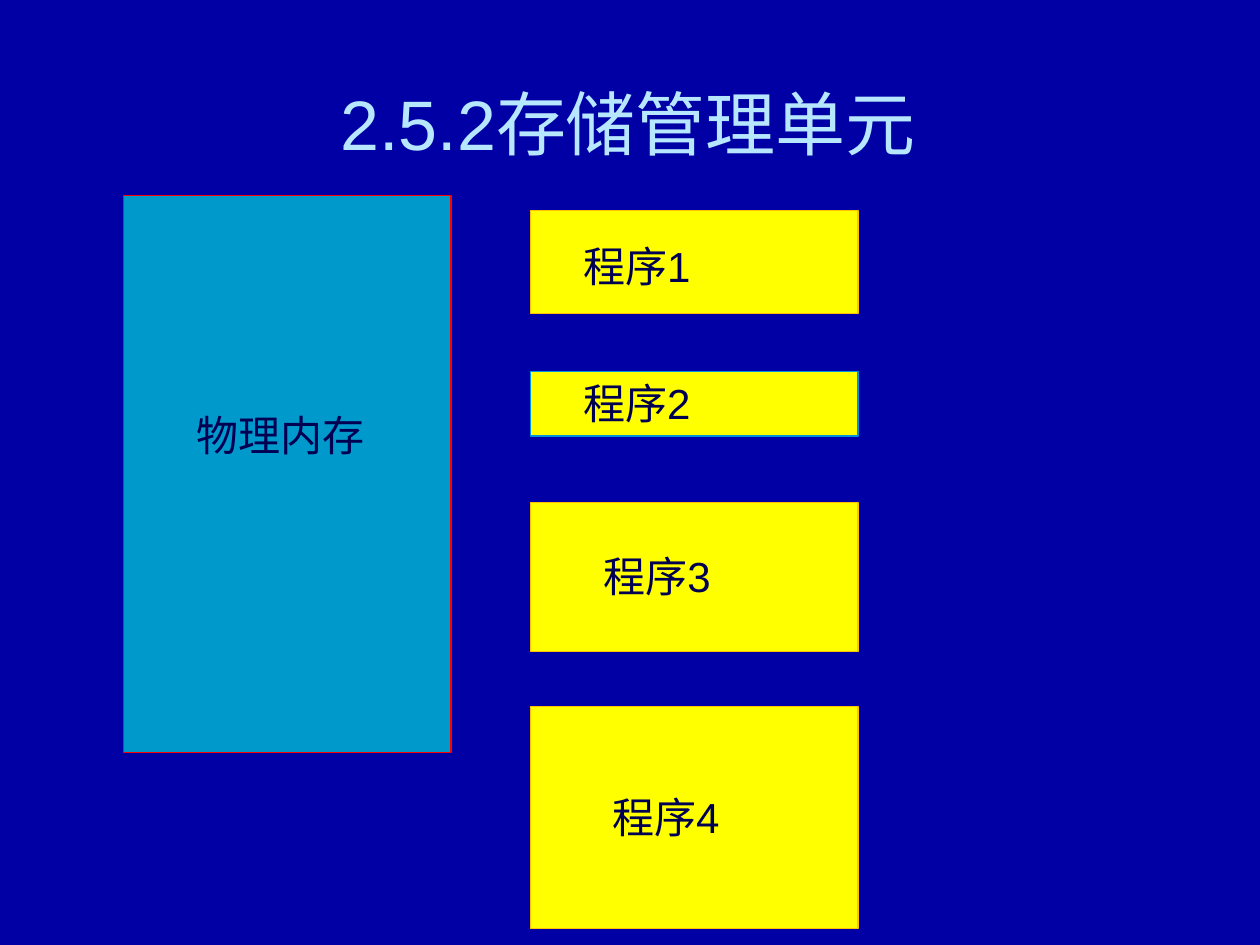
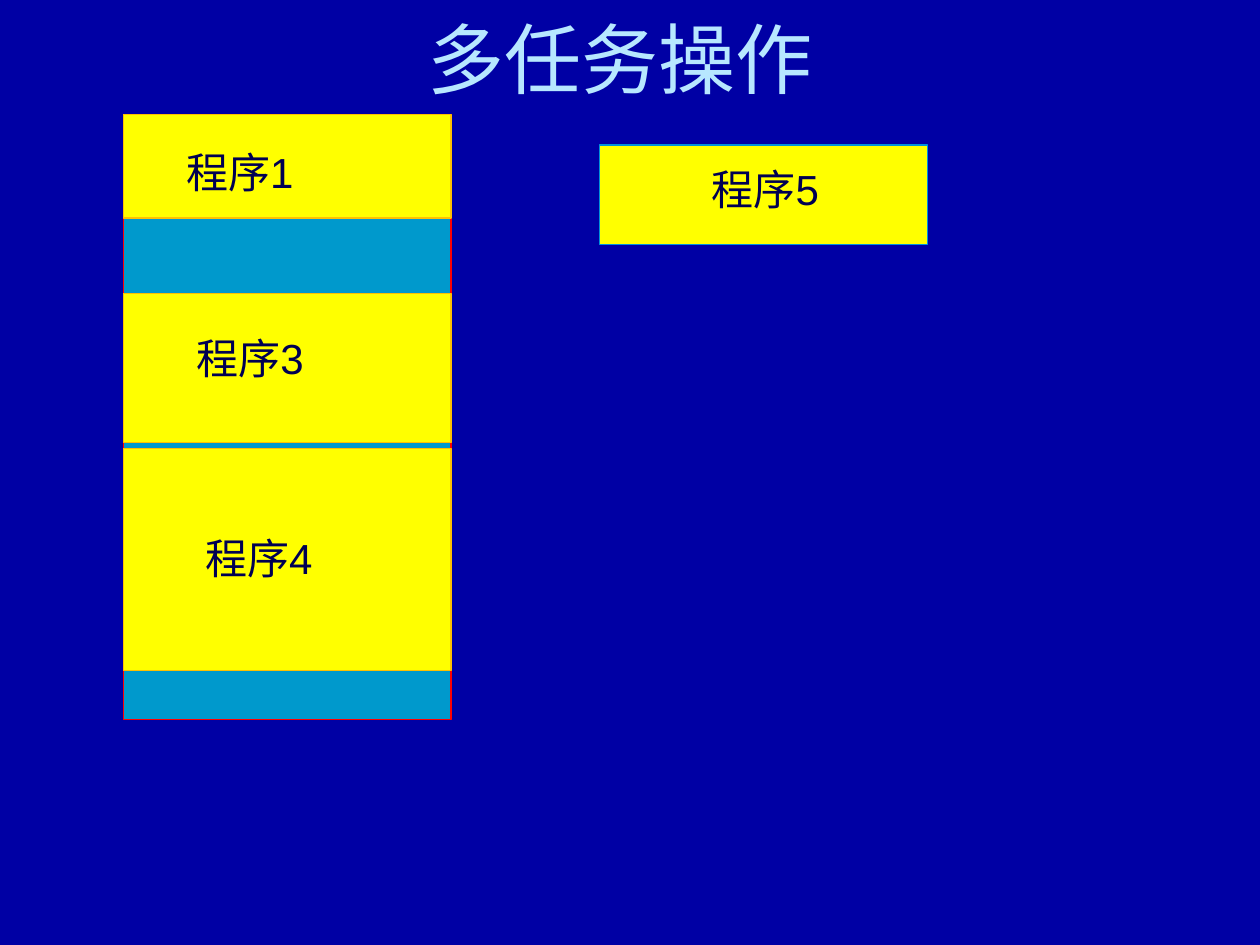
"""Build two slides on physical memory and the programs that share it."""
from pptx import Presentation
from pptx.dml.color import RGBColor
from pptx.enum import shapes, text
from pptx.util import Inches, Pt

NAVY = RGBColor(0x00, 0x00, 0xA4)
PALE_BLUE = RGBColor(0xB7, 0xE7, 0xFF)
DARK_INK = RGBColor(0x00, 0x00, 0x52)
MEMORY_BLUE = RGBColor(0x00, 0x99, 0xCC)
RED = RGBColor(0xFF, 0x00, 0x00)
YELLOW = RGBColor(0xFF, 0xFF, 0x00)
AMBER = RGBColor(0xFF, 0xC0, 0x00)
EDGE_BLUE = RGBColor(0x00, 0x92, 0xDB)

FONT = "Arial"
BLOCK_WIDTH = 2.6
MEMORY_LEFT = 0.98
LABEL_HEIGHT = 0.5
PROGRAM_HEIGHTS = {1: 0.82, 2: 0.51, 3: 1.18, 4: 1.76, 5: 0.79}
PROGRAM_EDGES = {1: AMBER, 2: EDGE_BLUE, 3: AMBER, 4: AMBER, 5: EDGE_BLUE}


def add_run(paragraph, words, size, color):
    """Append one formatted run to a paragraph."""
    run = paragraph.add_run()
    run.text = words
    run.font.name = FONT
    run.font.size = Pt(size)
    run.font.color.rgb = color


def add_titled_slide(presentation, words, size, left, top, height):
    """Add a title-only slide with its title placed and formatted."""
    slide = presentation.slides.add_slide(presentation.slide_layouts[5])
    title = slide.shapes.title
    title.left, title.top = Inches(left), Inches(top)
    title.width, title.height = Inches(9.31), Inches(height)
    frame = title.text_frame
    frame.auto_size = text.MSO_AUTO_SIZE.NONE
    frame.vertical_anchor = text.MSO_ANCHOR.MIDDLE
    paragraph = frame.paragraphs[0]
    paragraph.alignment = text.PP_ALIGN.CENTER
    add_run(paragraph, words, size, PALE_BLUE)
    return slide


def add_block(slide, left, top, height, fill, edge):
    """Add a filled rectangle of the common block width."""
    block = slide.shapes.add_shape(
        shapes.MSO_SHAPE.RECTANGLE,
        Inches(left), Inches(top), Inches(BLOCK_WIDTH), Inches(height))
    block.shadow.inherit = False
    block.fill.solid()
    block.fill.fore_color.rgb = fill
    block.line.color.rgb = edge
    block.line.width = Pt(0.75)


def add_label(slide, words, left, top, width=1.5):
    """Add a dark text label."""
    label = slide.shapes.add_textbox(
        Inches(left), Inches(top), Inches(width), Inches(LABEL_HEIGHT))
    frame = label.text_frame
    frame.word_wrap = True
    frame.auto_size = text.MSO_AUTO_SIZE.SHAPE_TO_FIT_TEXT
    add_run(frame.paragraphs[0], words, 24, DARK_INK)


def add_memory(slide, top, height):
    """Add the physical memory block."""
    add_block(slide, MEMORY_LEFT, top, height, MEMORY_BLUE, RED)


def add_program(slide, number, left, top, label_indent, label_drop):
    """Add a program block and its label, offset from the block corner."""
    add_block(slide, left, top, PROGRAM_HEIGHTS[number], YELLOW,
              PROGRAM_EDGES[number])
    add_label(slide, f"程序{number}", left + label_indent, top + label_drop)


def build_memory_unit_slide(presentation):
    """Show empty memory beside four waiting programs."""
    slide = add_titled_slide(
        presentation, "2.5.2存储管理单元", 40, 0.33, 0.25, 1.45)
    add_memory(slide, 1.55, 4.42)
    add_label(slide, "物理内存", 1.46, 3.2, 1.81)
    for number, top, indent, drop in (
            (1, 1.67, 0.32, 0.19), (2, 2.95, 0.32, 0),
            (3, 3.99, 0.48, 0.33), (4, 5.61, 0.55, 0.62)):
        add_program(slide, number, 4.21, top, indent, drop)


def build_multitasking_slide(presentation):
    """Show three loaded programs and a fifth one waiting."""
    slide = add_titled_slide(presentation, "多任务操作", 44, 0.27, 0, 0.91)
    add_memory(slide, 0.91, 4.8)
    for number, top, indent, drop in (
            (1, 0.91, 0.4, 0.2), (3, 2.33, 0.48, 0.26),
            (4, 3.56, 0.55, 0.62)):
        add_program(slide, number, MEMORY_LEFT, top, indent, drop)
    add_program(slide, 5, 4.76, 1.15, 0.79, 0.1)


def main():
    """Create and save the presentation."""
    presentation = Presentation()
    presentation.slide_width = Inches(10)
    presentation.slide_height = Inches(7.5)
    background = presentation.slide_master.background.fill
    background.solid()
    background.fore_color.rgb = NAVY
    build_memory_unit_slide(presentation)
    build_multitasking_slide(presentation)
    presentation.save("out.pptx")


if __name__ == "__main__":
    main()
